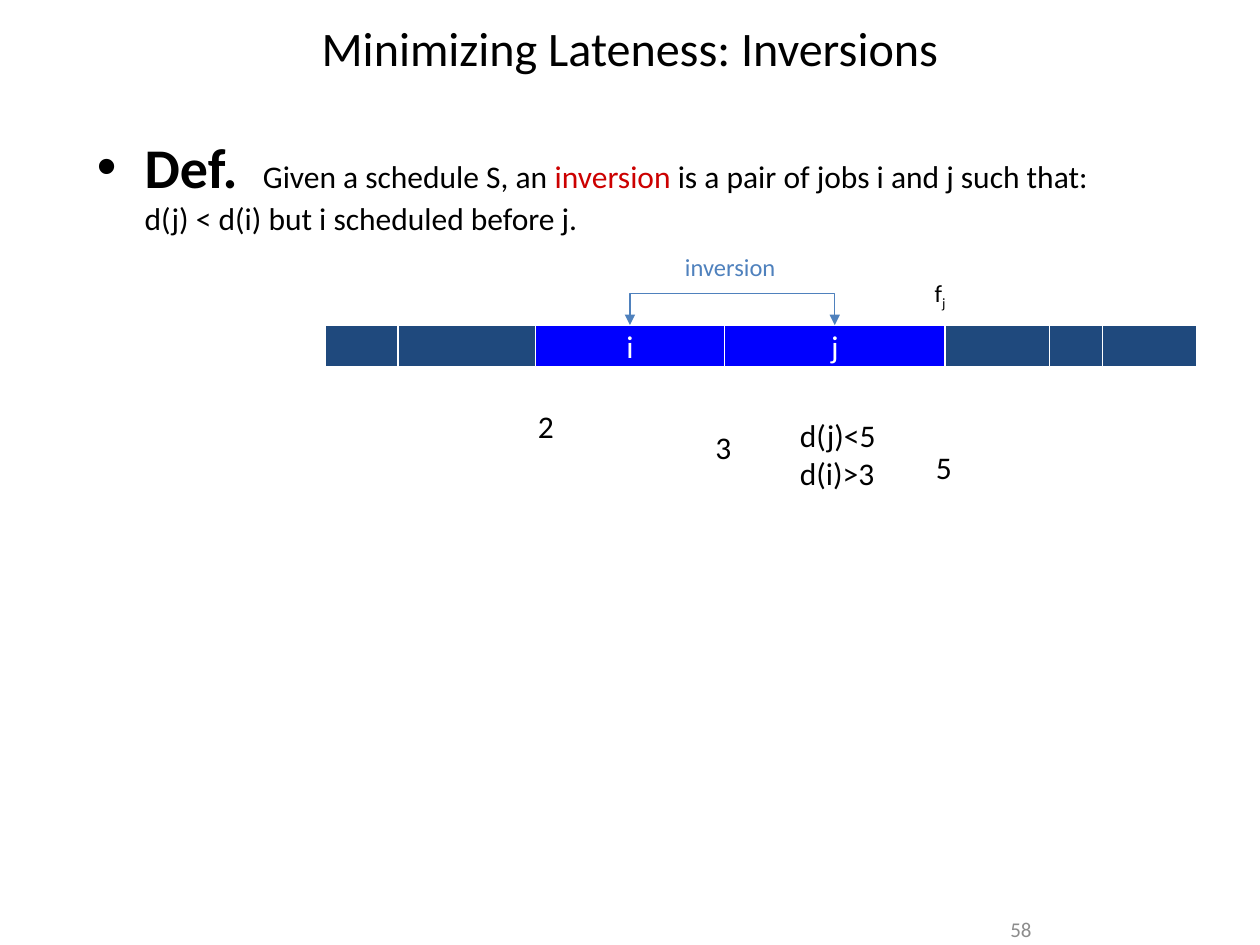
from lxml import etree
from pptx import Presentation
from pptx.dml.color import RGBColor
from pptx.enum.shapes import MSO_SHAPE
from pptx.enum.text import MSO_ANCHOR, PP_ALIGN
from pptx.oxml.ns import qn
from pptx.util import Inches, Pt

RECT = MSO_SHAPE.RECTANGLE
TOP, MIDDLE = MSO_ANCHOR.TOP, MSO_ANCHOR.MIDDLE
LEFT, CENTER = PP_ALIGN.LEFT, PP_ALIGN.CENTER

COLORS = {
    "text": "000000", "muted": "8C8C8C", "term": "CC0000", "accent": "4F81BD",
    "job": "1F497D", "inverted": "0000FF", "white": "FFFFFF",
}


def rgb(name):
    return RGBColor.from_string(COLORS[name])


def add_run(p, text, size, color="text", bold=False):
    r = p.add_run()
    r.text = text
    formats = {"name": "Calibri", "size": Pt(size), "bold": bold}
    for name, value in formats.items():
        setattr(r.font, name, value)
    r.font.color.rgb = rgb(color)
    return r


def add_text(s, box, lines=(), size=18, color="text", align=LEFT, anchor=TOP, wrap=True):
    """Place a text box with one paragraph per line and return its text frame."""
    tf = s.shapes.add_textbox(*map(Inches, box)).text_frame
    tf.word_wrap = wrap
    tf.vertical_anchor = anchor
    for i, line in enumerate(lines):
        p = tf.add_paragraph() if i else tf.paragraphs[0]
        p.alignment = align
        add_run(p, line, size, color)
    return tf


def add_title(s, box):
    tf = add_text(s, box, ["Minimizing Lateness: Inversions"], 27.5,
                  align=CENTER, anchor=MIDDLE)
    tf.paragraphs[0].line_spacing = 0.8


def add_definition(s, box):
    p = add_text(s, box).paragraphs[0]
    pPr = p._p.get_or_add_pPr()
    pPr.set("marL", str(Inches(0.38)))
    pPr.set("indent", str(-Inches(0.38)))
    etree.SubElement(pPr, qn("a:buFont"), typeface="Arial")
    etree.SubElement(pPr, qn("a:buChar"), char="•")
    add_run(p, "Def.  ", 32, bold=True)
    add_run(p, "Given a schedule S, an ", 18)
    add_run(p, "inversion", 18, "term")
    add_run(p, " is a pair of jobs i and j such that:", 18)
    p.add_line_break()
    add_run(p, "d(j) < d(i) but i scheduled before j.", 18)


def add_job(s, box, label):
    sp = s.shapes.add_shape(RECT, *map(Inches, box))
    sp.shadow.inherit = False
    sp.fill.solid()
    sp.fill.fore_color.rgb = rgb("inverted" if label else "job")
    sp.line.color.rgb = rgb("white")
    sp.line.width = Pt(0.75)
    if label:
        tf = sp.text_frame
        tf.word_wrap = False
        tf.vertical_anchor = MIDDLE
        p = tf.paragraphs[0]
        p.alignment = CENTER
        add_run(p, label, 18, "white")


def add_bracket(s, x1, x2, y, rise):
    """Draw a bracket with an arrowhead at both ends."""
    builder = s.shapes.build_freeform(Inches(x1), Inches(y))
    points = [(x1, y - rise), (x2, y - rise), (x2, y)]
    builder.add_line_segments([(Inches(px), Inches(py)) for px, py in points], close=False)
    sp = builder.convert_to_shape()
    sp.shadow.inherit = False
    sp.fill.background()
    sp.line.color.rgb = rgb("accent")
    sp.line.width = Pt(0.75)
    ln = sp.line._get_or_add_ln()
    for end in ("a:headEnd", "a:tailEnd"):
        etree.SubElement(ln, qn(end), type="triangle")


def add_schedule(s, box):
    x, y, _, h = box
    widths = [0.58, 1.09, 1.5, 1.75, 0.83, 0.42, 0.75]
    labels = ["", "", "i", "j", "", "", ""]

    # Jobs in order, with the centres of the labelled pair
    centers = {}
    for w, label in zip(widths, labels):
        add_job(s, (x, y, w, h), label)
        centers[label] = x + w / 2
        x += w

    # Inversion marker and finish time
    add_bracket(s, centers["i"], centers["j"], y, 0.25)
    add_text(s, (4.92, y - 0.63, 1.75, 0.33), ["inversion"], 14, "accent", CENTER)
    tf = add_text(s, (7.32, y - 0.42, 0.29, 0.34), ["f"], 14, wrap=False)
    r = add_run(tf.paragraphs[0], "j", 14)
    r._r.get_or_add_rPr().set("baseline", "-25000")

    # Times below the job boundaries
    for label, left, drop in [("2", 4.17, 0.6), ("3", 5.58, 0.77), ("5", 7.33, 0.93)]:
        add_text(s, (left, y + drop, 0.33, 0.4), [label], wrap=False)
    add_text(s, (6.25, y + 0.67, 1.25, 0.71), ["d(j)<5", "d(i)>3"])


def main():
    prs = Presentation()
    prs.slide_width, prs.slide_height = Inches(10), Inches(7.5)
    s = prs.slides.add_slide(prs.slide_layouts[6])
    add_title(s, (0, 0.17, 10, 0.5))
    add_definition(s, (0.67, 1, 8.58, 5.92))
    add_schedule(s, (2.58, 2.58, 6.92, 0.33))
    # Page number
    add_text(s, (7.92, 7.25, 2.08, 0.25), ["58"], 12, "muted", anchor=MIDDLE)
    prs.save("out.pptx")


if __name__ == "__main__":
    main()
